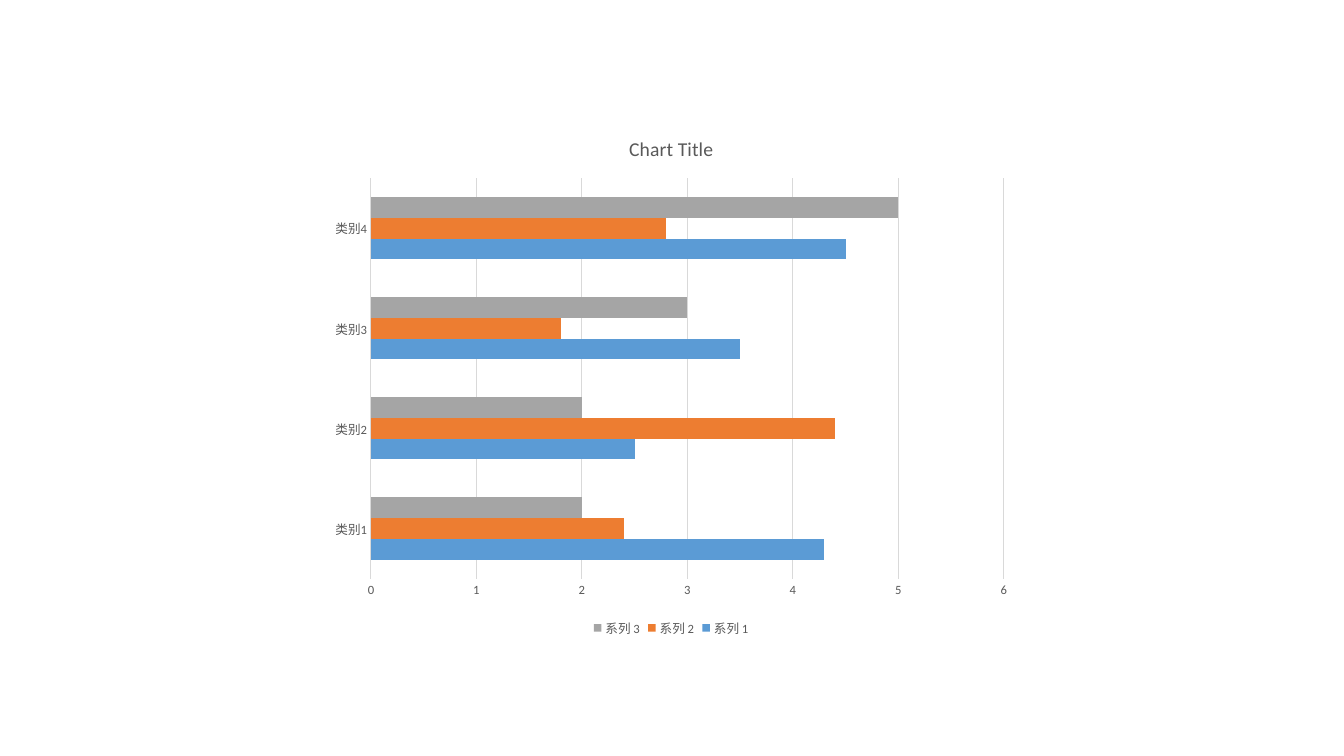
from dataclasses import dataclass

import pptx
import pptx.chart.data
import pptx.dml.color
import pptx.enum.chart
import pptx.util
from pptx.util import Cm


@dataclass(frozen=True)
class Theme:
    font: str = "Calibri"
    title_size: int = 14
    label_size: int = 9
    text: str = "595959"
    rule: str = "D9D9D9"
    rule_width: float = 0.75
    series: tuple = ("5B9BD5", "ED7D31", "A5A5A5")


THEME = Theme()
CATEGORIES = ("类别1", "类别2", "类别3", "类别4")
SERIES = {
    "系列 1": (4.3, 2.5, 3.5, 4.5),
    "系列 2": (2.4, 4.4, 1.8, 2.8),
    "系列 3": (2, 2, 3, 5),
}


def rgb(color):
    return pptx.dml.color.RGBColor.from_string(color)


def style_font(font, size=THEME.label_size, color=THEME.text):
    font.name = THEME.font
    font.size = pptx.util.Pt(size)
    font.bold = False
    font.color.rgb = rgb(color)


def write_text(frame, text, **font_format):
    run = frame.paragraphs[0].add_run()
    run.text = text
    style_font(run.font, **font_format)


def style_rule(line):
    line.color.rgb = rgb(THEME.rule)
    line.width = pptx.util.Pt(THEME.rule_width)


def add_bar_chart(slide, left, top, width, height):
    # Data
    data = pptx.chart.data.CategoryChartData()
    data.categories = CATEGORIES
    for name, values in SERIES.items():
        data.add_series(name, values)
    chart = slide.shapes.add_chart(
        pptx.enum.chart.XL_CHART_TYPE.BAR_CLUSTERED, left, top, width, height, data
    ).chart
    style_font(chart.font)

    # Title
    chart.has_title = True
    write_text(chart.chart_title.text_frame, "Chart Title", size=THEME.title_size)
    chart.chart_title.include_in_layout = False

    # Bars
    bars = chart.plots[0]
    bars.gap_width = 182
    bars.overlap = 0
    bars.vary_by_categories = False
    for series, color in zip(bars.series, THEME.series):
        series.format.fill.solid()
        series.format.fill.fore_color.rgb = rgb(color)

    # Axes
    for axis in (chart.category_axis, chart.value_axis):
        axis.major_tick_mark = pptx.enum.chart.XL_TICK_MARK.NONE
        axis.minor_tick_mark = pptx.enum.chart.XL_TICK_MARK.NONE
        style_font(axis.tick_labels.font)
    style_rule(chart.category_axis.format.line)
    chart.value_axis.format.line.fill.background()
    chart.value_axis.has_major_gridlines = True
    style_rule(chart.value_axis.major_gridlines.format.line)

    # Legend
    chart.has_legend = True
    chart.legend.position = pptx.enum.chart.XL_LEGEND_POSITION.BOTTOM
    chart.legend.include_in_layout = False
    style_font(chart.legend.font)


def main():
    presentation = pptx.Presentation()
    presentation.slide_width = Cm(33.87)
    presentation.slide_height = Cm(19.05)
    slide = presentation.slides.add_slide(presentation.slide_layouts[6])
    add_bar_chart(slide, left=Cm(8.1), top=Cm(2.92), width=Cm(17.63), height=Cm(13.23))
    presentation.save("out.pptx")


if __name__ == "__main__":
    main()
